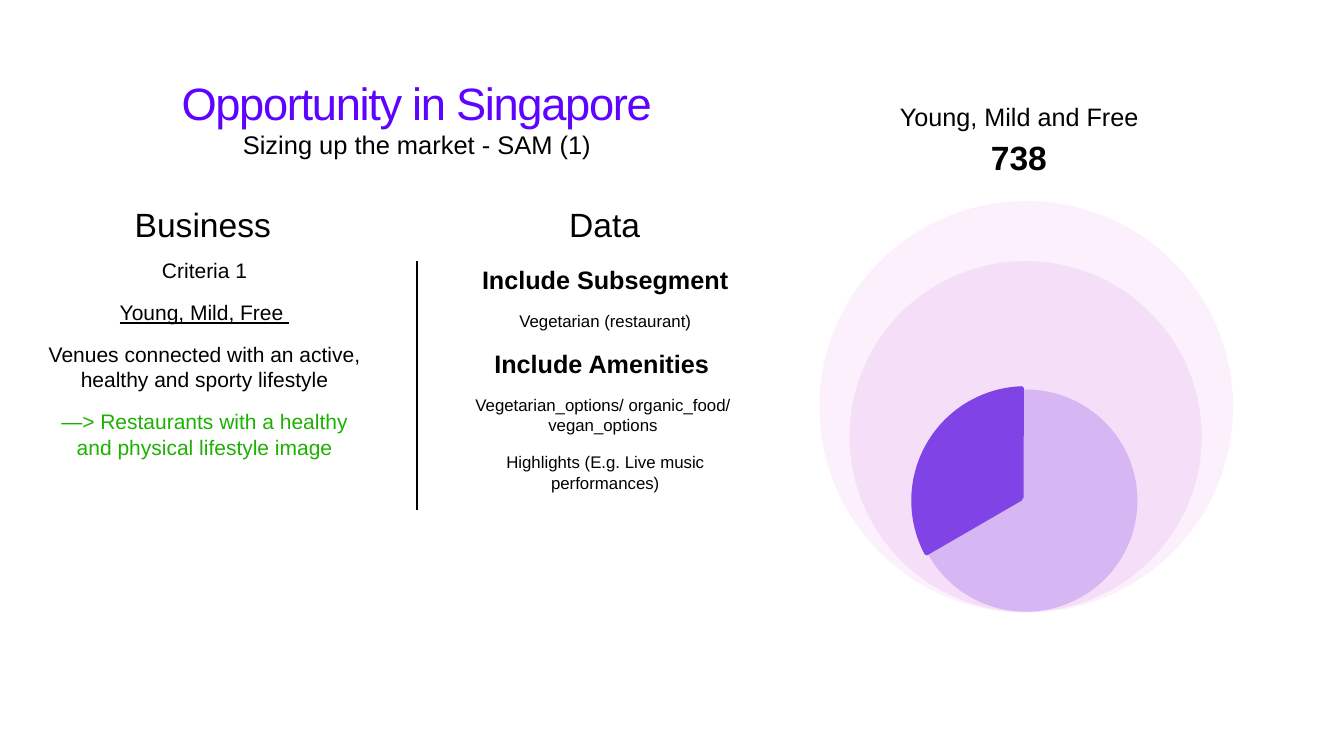
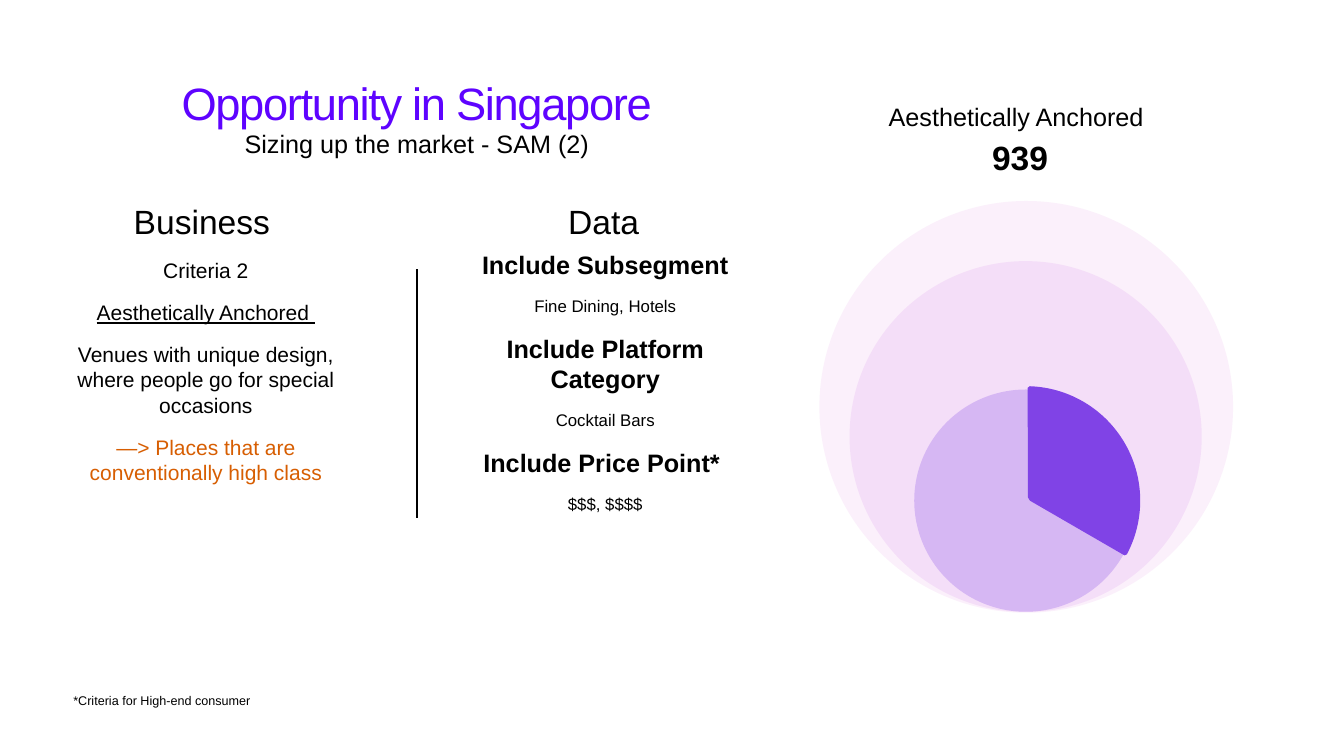
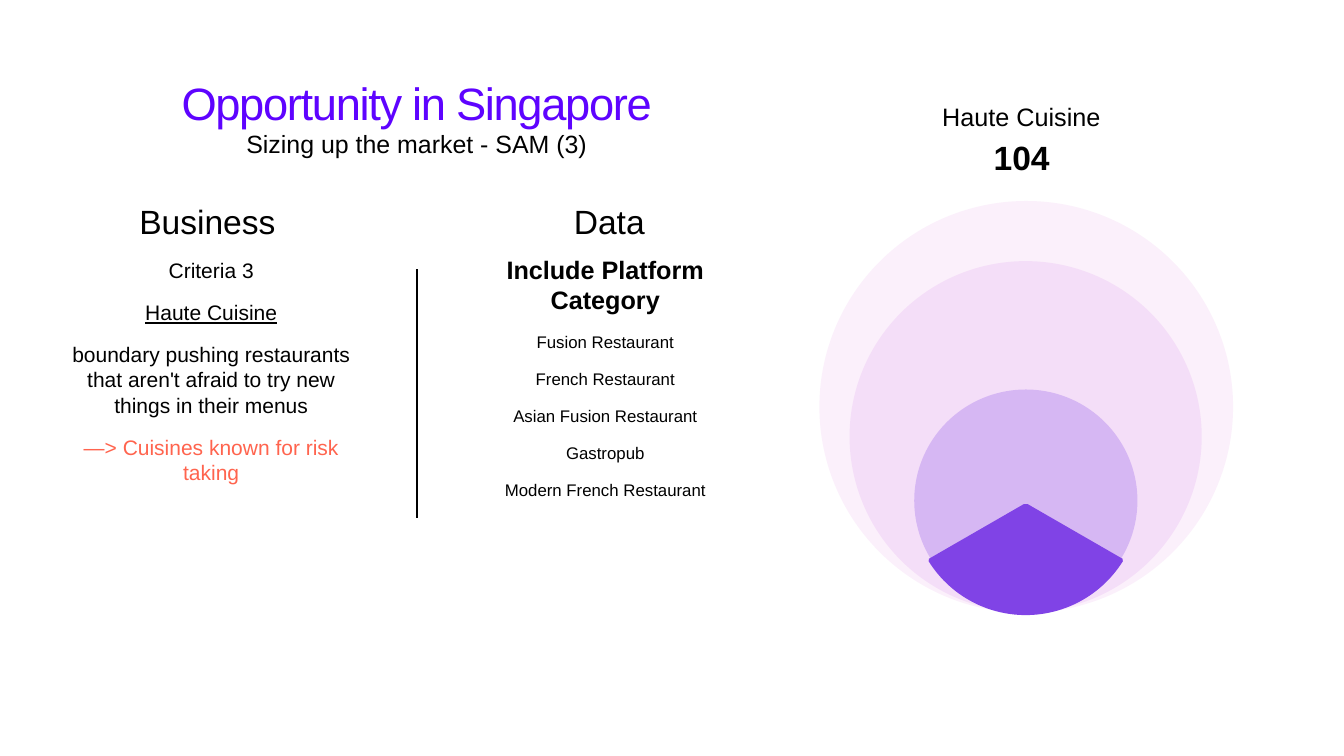
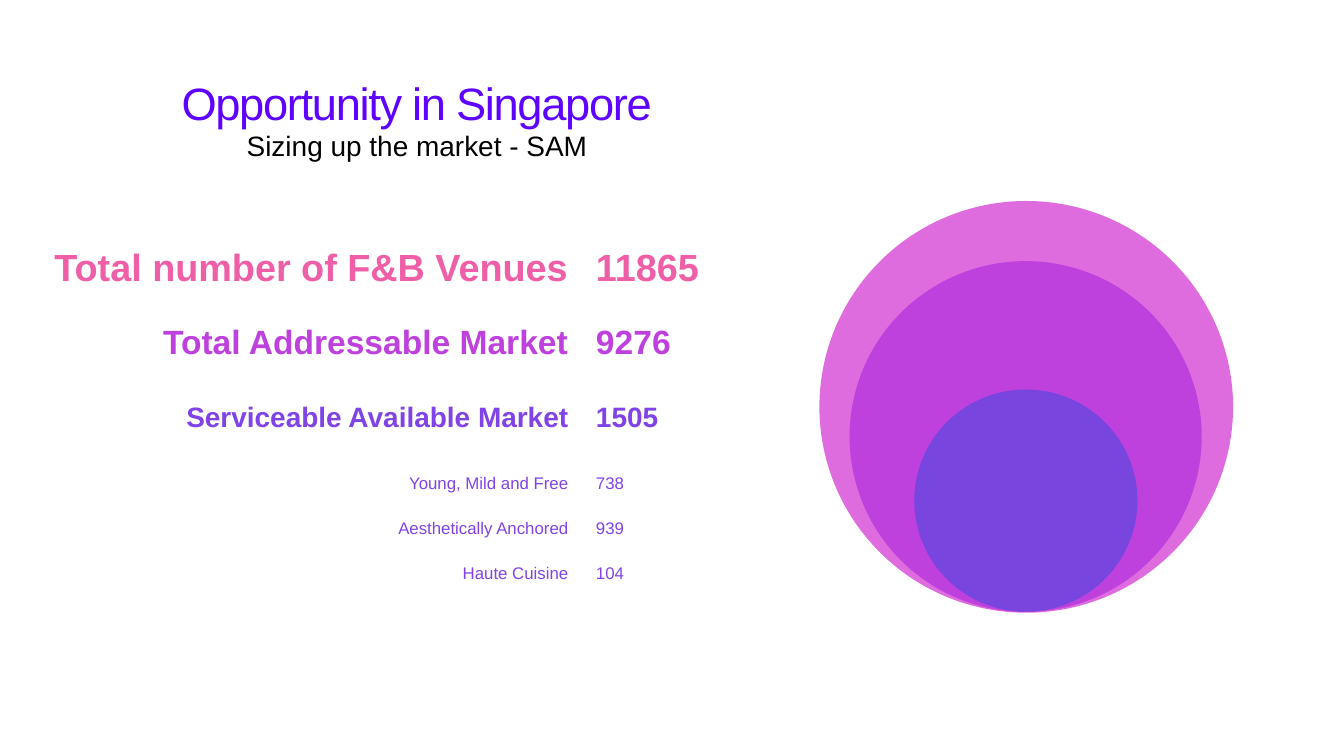
from dataclasses import dataclass
from math import cos, radians, sin

from lxml import etree
from pptx import Presentation
from pptx.dml.color import RGBColor
from pptx.enum.shapes import MSO_CONNECTOR, MSO_SHAPE
from pptx.enum.text import MSO_ANCHOR, MSO_AUTO_SIZE, PP_ALIGN
from pptx.oxml.ns import qn
from pptx.util import Cm, Pt

LEFT, CENTER, RIGHT = PP_ALIGN.LEFT, PP_ALIGN.CENTER, PP_ALIGN.RIGHT
TOP, MIDDLE, BOTTOM = MSO_ANCHOR.TOP, MSO_ANCHOR.MIDDLE, MSO_ANCHOR.BOTTOM
FIT_TEXT, NO_FIT = MSO_AUTO_SIZE.SHAPE_TO_FIT_TEXT, MSO_AUTO_SIZE.NONE
OVAL, STRAIGHT = MSO_SHAPE.OVAL, MSO_CONNECTOR.STRAIGHT


@dataclass(frozen=True)
class Theme:
    font: str = "Arial"
    black: str = "000000"
    title_start: str = "5E03FF"
    title_end: str = "FF00F7"
    venues: str = "EF5FA8"
    outer: str = "DE6CDE"
    market: str = "BE41DE"
    available: str = "8043E6"
    inner: str = "7846DE"
    green: str = "1DB100"
    orange: str = "D75E02"
    coral: str = "FF644E"
    title: float = 64.7
    total: float = 54
    heading: float = 48
    serviceable: float = 40
    label: float = 36
    body: float = 30
    detail: float = 24
    note: float = 18
    paragraph_gap: float = 24


theme = Theme()


def add_text(slide, box, paragraphs, size, color=theme.black, bold=False, alignment=LEFT,
             anchor=MIDDLE, wrap=False, fit=True, before=theme.paragraph_gap):
    """Each paragraph is a string or a (string, overrides) pair."""
    shape = slide.shapes.add_textbox(*(Cm(length) for length in box))
    frame = shape.text_frame
    frame.margin_left = frame.margin_right = frame.margin_top = frame.margin_bottom = Cm(0.14)
    frame.word_wrap = wrap
    frame.vertical_anchor = anchor
    frame.auto_size = FIT_TEXT if fit else NO_FIT
    for index, entry in enumerate(paragraphs):
        text, overrides = (entry, {}) if isinstance(entry, str) else entry
        paragraph = frame.paragraphs[0] if index == 0 else frame.add_paragraph()
        paragraph.alignment = alignment
        paragraph.space_before = Pt(before)
        run = paragraph.add_run()
        run.text = text
        run.font.name = theme.font
        run.font.size = Pt(overrides.get("size", size))
        run.font.bold = overrides.get("bold", bold)
        run.font.underline = overrides.get("underline", False)
        run.font.color.rgb = RGBColor.from_string(overrides.get("color", color))
    return shape


def paint(shape, color, opacity=100):
    shape.shadow.inherit = False
    shape.line.fill.background()
    shape.fill.solid()
    shape.fill.fore_color.rgb = RGBColor.from_string(color)
    if opacity < 100:
        color_element = shape._element.spPr.find(qn("a:solidFill")).find(qn("a:srgbClr"))
        etree.SubElement(color_element, qn("a:alpha"), val=str(opacity * 1000))


circle_boxes = [
    (41.3, 10.13, 20.85, 20.75),
    (42.82, 13.16, 17.75, 17.68),
    (46.08, 19.63, 11.25, 11.2),
]
pale_circles = [(theme.outer, 10), (theme.market, 10), (theme.available, 25)]
full_circles = [(theme.outer, 100), (theme.market, 100), (theme.inner, 100)]

wedge_x, wedge_y = 51.7, 25.23
wedge_radius, wedge_sweep = 5.77, 120
wedge_inset = 0.12

heading_style = dict(size=theme.label, bold=True)
data_offset = 21.9

segments = [
    dict(
        subtitle="Sizing up the market - SAM (1)", subtitle_size=36.4,
        name="Young, Mild and Free", name_left=44.98, name_width=12.78,
        count="738", count_left=49.63, count_width=3.45, alignment=CENTER,
        heading_left=6.65, heading_top=10.03, divider_top=13.16, wedge_start=150,
        criteria_box=(2.03, 12.85, 16.56, 13.13),
        criteria=["Criteria 1", "Young, Mild, Free ",
                  "Venues connected with an active, healthy and sporty lifestyle",
                  "—> Restaurants with a healthy and physical lifestyle image"],
        accent=theme.green,
        data_box=(23.42, 13.16, 14.17, 12.55),
        data=[("Include Subsegment", heading_style), "Vegetarian (restaurant)",
              ("Include Amenities ", heading_style),
              "Vegetarian_options/ organic_food/  vegan_options ",
              "Highlights (E.g. Live music performances)"],
    ),
    dict(
        subtitle="Sizing up the market - SAM (2)", subtitle_size=36,
        name="Aesthetically Anchored", name_left=44.65, name_width=14.1,
        count="939", count_left=49.86, count_width=3.68, alignment=LEFT,
        heading_left=6.6, heading_top=9.88, divider_top=13.54, wedge_start=270,
        criteria_box=(3.1, 12.85, 14.55, 13.89),
        criteria=["Criteria 2", "Aesthetically Anchored ",
                  "Venues with unique design, where people go for special occasions",
                  "—> Places that are conventionally high class"],
        accent=theme.orange,
        data_box=(23.42, 12.4, 14.17, 14.83),
        data=[("Include Subsegment", heading_style), "Fine Dining, Hotels",
              ("Include Platform Category", heading_style), "Cocktail Bars",
              ("Include Price Point* ", heading_style), "$$$, $$$$"],
        footnote="*Criteria for High-end consumer",
    ),
    dict(
        subtitle="Sizing up the market - SAM (3)", subtitle_size=35.6,
        name="Haute Cuisine", name_left=47.35, name_width=8.61,
        count="104", count_left=49.94, count_width=3.45, alignment=LEFT,
        heading_left=6.88, heading_top=9.88, divider_top=13.54, wedge_start=30,
        criteria_box=(3.1, 12.85, 15.09, 16.64),
        criteria=["Criteria 3", "Haute Cuisine",
                  "boundary pushing restaurants that aren't afraid to try new things in their menus",
                  "—> Cuisines known for risk taking"],
        accent=theme.coral,
        data_box=(23.42, 12.67, 14.17, 14.83),
        data=[("Include Platform Category", heading_style), "Fusion Restaurant",
              "French Restaurant", "Asian Fusion Restaurant", "Gastropub",
              "Modern French Restaurant"],
    ),
]
summary = dict(subtitle="Sizing up the market - SAM", subtitle_size=40)

# label, value, top, height, label width, value width, size, colour, bold, wrapped label
summary_rows = [
    ("Total number of F&B Venues", "11865", 12.04, 2.79, 26.39, 5.72,
     theme.total, theme.venues, True, False),
    ("Total Addressable Market", "9276", 15.95, 2.51, 23.44, 4.57,
     theme.heading, theme.market, True, True),
    ("Serviceable Available Market", "1505", 19.94, 2.13, 20.47, 3.76,
     theme.serviceable, theme.available, True, False),
]
for index, (label_width, value_width) in enumerate([(8.64, 1.78), (9.5, 1.88), (5.84, 1.73)]):
    segment = segments[index]
    summary_rows.append((segment["name"], segment["count"], 23.65 + index * 2.27, 1.37,
                         label_width, value_width, theme.detail, theme.available, False, False))
label_right, value_left = 28.78, 29.9

presentation = Presentation()
presentation.slide_width = Cm(67.74)
presentation.slide_height = Cm(38.1)
blank_layout = presentation.slide_layouts[6]

for content in [*segments, summary]:
    slide = presentation.slides.add_slide(blank_layout)

    title = add_text(slide, (7.59, 2.34, 26.82, 4.29), ["Opportunity in Singapore"], theme.title,
                     alignment=CENTER, anchor=BOTTOM, wrap=True, fit=False, before=0)
    title_paragraph = title.text_frame.paragraphs[0]
    title_paragraph.line_spacing = 0.8
    title_font = title_paragraph.runs[0].font
    title_font.fill.gradient()
    title_font.fill.gradient_angle = 294
    for stop, color in zip(title_font.fill.gradient_stops, (theme.title_start, theme.title_end)):
        stop.color.rgb = RGBColor.from_string(color)
    title_font._element.set("spc", "-190")

    add_text(slide, (11.79, 6.35, 18.44, 2.39), [content["subtitle"]], content["subtitle_size"],
             alignment=CENTER, anchor=TOP, wrap=True, fit=False, before=0)

    circle_styles = full_circles if content is summary else pale_circles
    for box, (color, opacity) in zip(circle_boxes, circle_styles):
        circle = slide.shapes.add_shape(OVAL, *(Cm(length) for length in box))
        paint(circle, color, opacity)

    if content is summary:
        for (label, value, top, height, label_width, value_width,
             size, color, bold, wrapped) in summary_rows:
            add_text(slide, (label_right - label_width, top, label_width, height), [label],
                     size, color=color, bold=bold, alignment=RIGHT, wrap=wrapped)
            add_text(slide, (value_left, top, value_width, height), [value],
                     size, color=color, bold=bold)
        continue

    start = content["wedge_start"]
    end = start + wedge_sweep
    middle = radians(start + wedge_sweep / 2)
    apex_x = wedge_x + wedge_inset * cos(middle)
    apex_y = wedge_y + wedge_inset * sin(middle)
    tip_start, tip_end = [
        (apex_x + wedge_inset * cos(radians(angle)), apex_y + wedge_inset * sin(radians(angle)))
        for angle in (start, end)
    ]
    rim = [(wedge_radius - 0.08, start + 1)]
    rim += [(wedge_radius, angle) for angle in range(start + 2, end - 1, 2)]
    rim += [(wedge_radius - 0.08, end - 1)]
    outline = [(wedge_x + radius * cos(radians(angle)), wedge_y + radius * sin(radians(angle)))
               for radius, angle in rim]
    points = [(Cm(x), Cm(y)) for x, y in [tip_start, *outline, tip_end]]
    builder = slide.shapes.build_freeform(*points[0])
    builder.add_line_segments(points[1:], close=True)
    paint(builder.convert_to_shape(), theme.available)

    divider_top = content["divider_top"]
    divider = slide.shapes.add_connector(STRAIGHT, Cm(21.01), Cm(divider_top + 12.55),
                                         Cm(21.01), Cm(divider_top))
    divider.line.color.rgb = RGBColor.from_string(theme.black)
    divider.line.width = Pt(2)
    etree.SubElement(divider._element.spPr, qn("a:effectLst"))

    add_text(slide, (content["name_left"], 4.88, content["name_width"], 1.96), [content["name"]],
             theme.label, alignment=content["alignment"])
    add_text(slide, (content["count_left"], 6.68, content["count_width"], 2.51),
             [content["count"]], theme.heading, bold=True, alignment=content["alignment"])

    heading_left, heading_top = content["heading_left"], content["heading_top"]
    add_text(slide, (heading_left, heading_top, 7.24, 2.51), ["Business"], theme.heading)
    add_text(slide, (heading_left + data_offset, heading_top, 3.94, 2.51), ["Data"], theme.heading)

    criterion, segment_name, description, conclusion = content["criteria"]
    add_text(slide, content["criteria_box"],
             [criterion, (segment_name, dict(underline=True)), description,
              (conclusion, dict(color=content["accent"]))],
             theme.body, alignment=CENTER, anchor=TOP, wrap=True, fit=False)
    add_text(slide, content["data_box"], content["data"], theme.detail,
             alignment=CENTER, anchor=TOP, wrap=True, fit=False)

    if "footnote" in content:
        add_text(slide, (3.12, 34.32, 10.08, 1.96), [content["footnote"]], theme.note,
                 alignment=CENTER, wrap=True, fit=False)

presentation.save("out.pptx")
